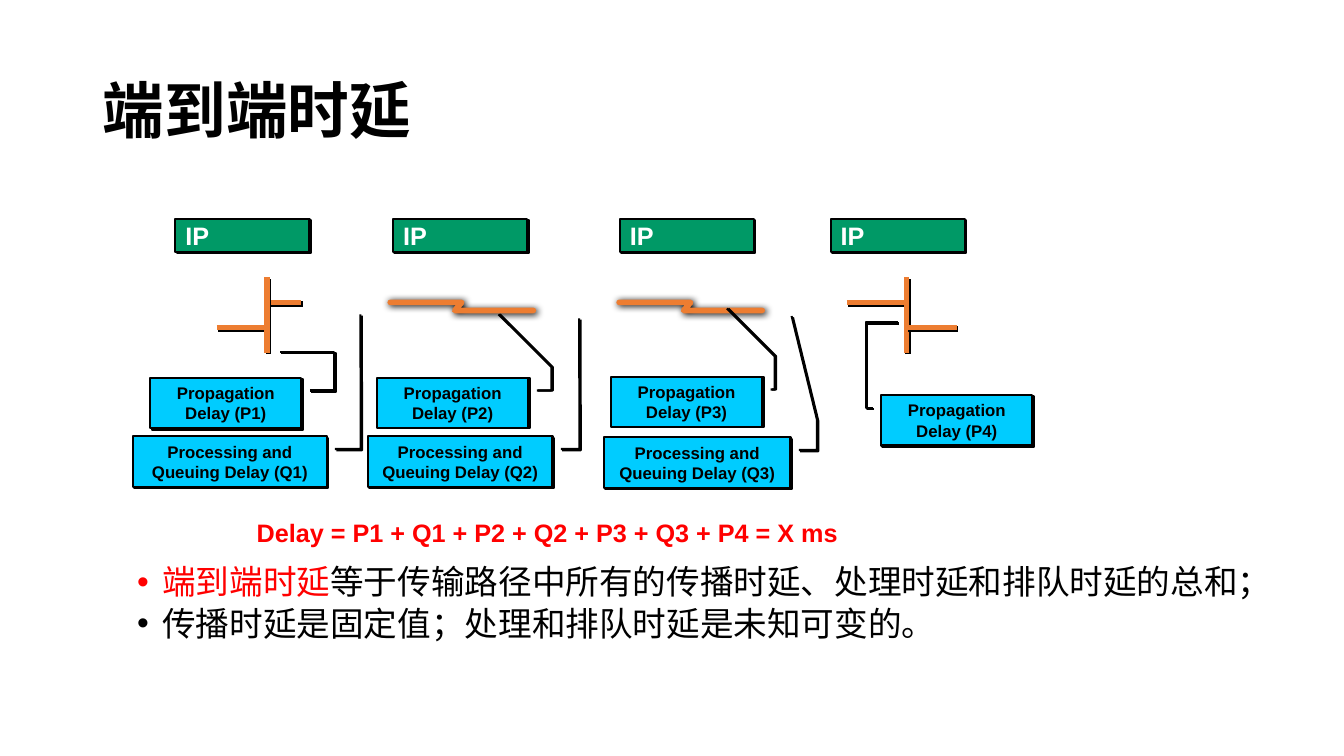
from dataclasses import dataclass

from lxml import etree
from pptx import Presentation
from pptx.dml.color import RGBColor
from pptx.enum.shapes import MSO_CONNECTOR, MSO_SHAPE
from pptx.enum.text import MSO_ANCHOR, MSO_AUTO_SIZE, PP_ALIGN
from pptx.oxml.ns import qn
from pptx.util import Inches, Pt

RECTANGLE = MSO_SHAPE.RECTANGLE
CALLOUT = MSO_SHAPE.LINE_CALLOUT_3
STRAIGHT = MSO_CONNECTOR.STRAIGHT
LEFT, CENTER = PP_ALIGN.LEFT, PP_ALIGN.CENTER
MIDDLE, TOP = MSO_ANCHOR.MIDDLE, MSO_ANCHOR.TOP
NO_AUTOFIT = MSO_AUTO_SIZE.NONE

COLORS = {
    "black": "000000",
    "white": "FFFFFF",
    "red": "FF0000",
    "router": "009966",
    "callout": "00CCFF",
    "link": "ED7D31",
}
LATIN_FONT = "Arial"
TITLE_FONT = "Noto Sans CJK SC"
BODY_FONT = "Noto Sans CJK JP"


@dataclass
class Box:
    left: float
    top: float
    width: float
    height: float


@dataclass
class Callout:
    text: str
    box: Box
    leader: list[float]  # y, x pairs as fractions of the box
    shadow_distance: float = 1.4
    shadow_angle: int = 45


@dataclass
class Segment:
    start: tuple[float, float]
    end: tuple[float, float]


ROUTER_LEFTS = [1.74, 3.9, 6.15, 8.24]
LAN_SEGMENTS = [
    Segment((2.15, 3.25), (2.65, 3.25)),
    Segment((2.65, 3), (2.99, 3)),
    Segment((2.65, 3.5), (2.65, 2.75)),
    Segment((8.4, 3), (8.99, 3)),
    Segment((8.99, 3.5), (8.99, 2.75)),
    Segment((8.99, 3.25), (9.49, 3.25)),
]
WAN_LEFTS = [3.87, 6.14]
WAN_OFFSETS = [(0, 0), (0.71, 0), (0.64, 0.08), (1.42, 0.08)]
CALLOUTS = [
    Callout("Propagation Delay (P1)", Box(1.49, 3.75, 1.5, 0.5),
            [0.25, 1.056, 0.25, 1.218, -0.517, 1.218, -0.517, 0.856]),
    Callout("Processing and Queuing Delay (Q1)", Box(1.32, 4.33, 1.92, 0.5),
            [0.25, 1.043, 0.25, 1.176, -0.312, 1.176, -2.424, 1.174]),
    Callout("Propagation Delay (P2)", Box(3.74, 3.75, 1.5, 0.5),
            [0.25, 1.056, 0.25, 1.153, -0.215, 1.153, -1.264, 0.803], 1, 0),
    Callout("Processing and Queuing Delay (Q2)", Box(3.65, 4.33, 1.83, 0.5),
            [0.25, 1.045, 0.25, 1.146, -0.191, 1.146, -2.344, 1.145]),
    Callout("Propagation Delay (P3)", Box(6.06, 3.74, 1.5, 0.5),
            [0.25, 1.056, 0.25, 1.083, -0.41, 1.083, -1.358, 0.767], 1, 0),
    Callout("Processing and Queuing Delay (Q3)", Box(5.99, 4.34, 1.85, 0.5),
            [0.25, 1.045, 0.25, 1.142, -0.354, 1.142, -2.41, 1.006]),
    Callout("Propagation Delay (P4)", Box(8.74, 3.92, 1.5, 0.5),
            [0.25, -0.056, 0.25, -0.103, -1.448, -0.103, -1.448, 0.108]),
]
BODY_PARAGRAPHS = [
    [("端到端时延", "red"),
     ("等于传输路径中所有的传播时延、处理时延和排队时延的总和；", "black")],
    [("传播时延是固定值；处理和排队时延是未知可变的。", "black")],
]


def rgb(name: str) -> RGBColor:
    return RGBColor.from_string(COLORS[name])


def lengths(box: Box) -> list[int]:
    return [Inches(value) for value in (box.left, box.top, box.width, box.height)]


def place(shape, box: Box) -> None:
    shape.left, shape.top, shape.width, shape.height = lengths(box)


def set_font(font, name: str, size: int, color: str | None, bold: bool) -> None:
    font.name, font.size, font.bold = name, Pt(size), bold
    if color:
        font.color.rgb = rgb(color)
    east_asian = etree.Element(qn("a:ea"), typeface=name)
    font._element.find(qn("a:latin")).addnext(east_asian)


def add_shadow(shape, distance: float = 1.4, angle: int = 45, blur: float = 0) -> None:
    effects = etree.SubElement(shape._element.spPr, qn("a:effectLst"))
    shadow = etree.SubElement(
        effects, qn("a:outerShdw"), blurRad=str(Pt(blur)), dist=str(Pt(distance)),
        dir=str(angle * 60000), algn="ctr", rotWithShape="0")
    etree.SubElement(shadow, qn("a:srgbClr"), val=COLORS["black"])


def set_line(shape, color: str, width: float) -> None:
    shape.line.color.rgb = rgb(color)
    shape.line.width = Pt(width)


def add_label(slide, kind, box: Box, text: str, fill: str, color: str, size: int, align):
    shape = slide.shapes.add_shape(kind, *lengths(box))
    shape.fill.solid()
    shape.fill.fore_color.rgb = rgb(fill)
    set_line(shape, "black", 1.5)
    frame = shape.text_frame
    frame.word_wrap, frame.vertical_anchor = True, MIDDLE
    paragraph = frame.paragraphs[0]
    paragraph.text, paragraph.alignment = text, align
    set_font(paragraph.font, LATIN_FONT, size, color, True)
    return shape


def add_segment(slide, segment: Segment) -> None:
    points = [Inches(value) for value in (*segment.start, *segment.end)]
    connector = slide.shapes.add_connector(STRAIGHT, *points)
    set_line(connector, "link", 4)
    add_shadow(connector)


def add_wan_link(slide, left: float, top: float) -> None:
    points = [(Inches(left + x), Inches(top + y)) for x, y in WAN_OFFSETS]
    builder = slide.shapes.build_freeform(*points[0])
    builder.add_line_segments(points[1:], close=False)
    link = builder.convert_to_shape()
    link.fill.background()
    set_line(link, "link", 4)
    link._element.spPr.find(qn("a:ln")).set("cap", "rnd")
    add_shadow(link, blur=5)


def fill_title(title) -> None:
    place(title, Box(0.92, 0.4, 11.5, 1.45))
    title.text_frame.vertical_anchor = MIDDLE
    paragraph = title.text_frame.paragraphs[0]
    paragraph.text, paragraph.alignment = "端到端时延", LEFT
    paragraph.line_spacing = 0.9
    set_font(paragraph.font, TITLE_FONT, 44, "black", True)


def fill_body(body) -> None:
    place(body, Box(1.13, 5.58, 11.28, 1.07))
    frame = body.text_frame
    frame.auto_size, frame.vertical_anchor = NO_AUTOFIT, TOP
    for index, runs in enumerate(BODY_PARAGRAPHS):
        paragraph = frame.add_paragraph() if index else frame.paragraphs[0]
        paragraph.level = 1
        paragraph.line_spacing = 0.85
        paragraph.space_before = Pt(5 if index else 0)
        properties = paragraph._p.get_or_add_pPr()
        properties.set("marL", str(Inches(0.38)))
        properties.set("indent", str(Inches(-0.25)))
        etree.SubElement(properties, qn("a:buFont"), typeface=LATIN_FONT)
        etree.SubElement(properties, qn("a:buChar"), char="•")
        set_font(paragraph.font, BODY_FONT, 24, None, False)
        for text, color in runs:
            run = paragraph.add_run()
            run.text = text
            run.font.color.rgb = rgb(color)


def main() -> None:
    presentation = Presentation()
    presentation.slide_width, presentation.slide_height = Inches(13.33), Inches(7.5)
    slide = presentation.slides.add_slide(presentation.slide_layouts[1])
    fill_title(slide.shapes.title)
    fill_body(slide.placeholders[1])

    # Network links
    for segment in LAN_SEGMENTS:
        add_segment(slide, segment)
    for left in WAN_LEFTS:
        add_wan_link(slide, left, 3)

    # Routers and delay callouts
    for left in ROUTER_LEFTS:
        router = add_label(slide, RECTANGLE, Box(left, 2.17, 1.33, 0.33), "IP",
                           "router", "white", 18, LEFT)
        add_shadow(router)
    for callout in CALLOUTS:
        shape = add_label(slide, CALLOUT, callout.box, callout.text,
                          "callout", "black", 12, CENTER)
        for index, value in enumerate(callout.leader):
            shape.adjustments[index] = value
        add_shadow(shape, callout.shadow_distance, callout.shadow_angle)

    # Delay formula
    formula = slide.shapes.add_textbox(*lengths(Box(2.28, 5.08, 6.3, 0.4)))
    formula.text_frame.word_wrap = True
    paragraph = formula.text_frame.paragraphs[0]
    paragraph.text = "Delay = P1 + Q1 + P2 + Q2 + P3 + Q3 + P4 = X ms"
    paragraph.alignment = CENTER
    set_font(paragraph.font, LATIN_FONT, 18, "red", True)

    presentation.save("out.pptx")


if __name__ == "__main__":
    main()
